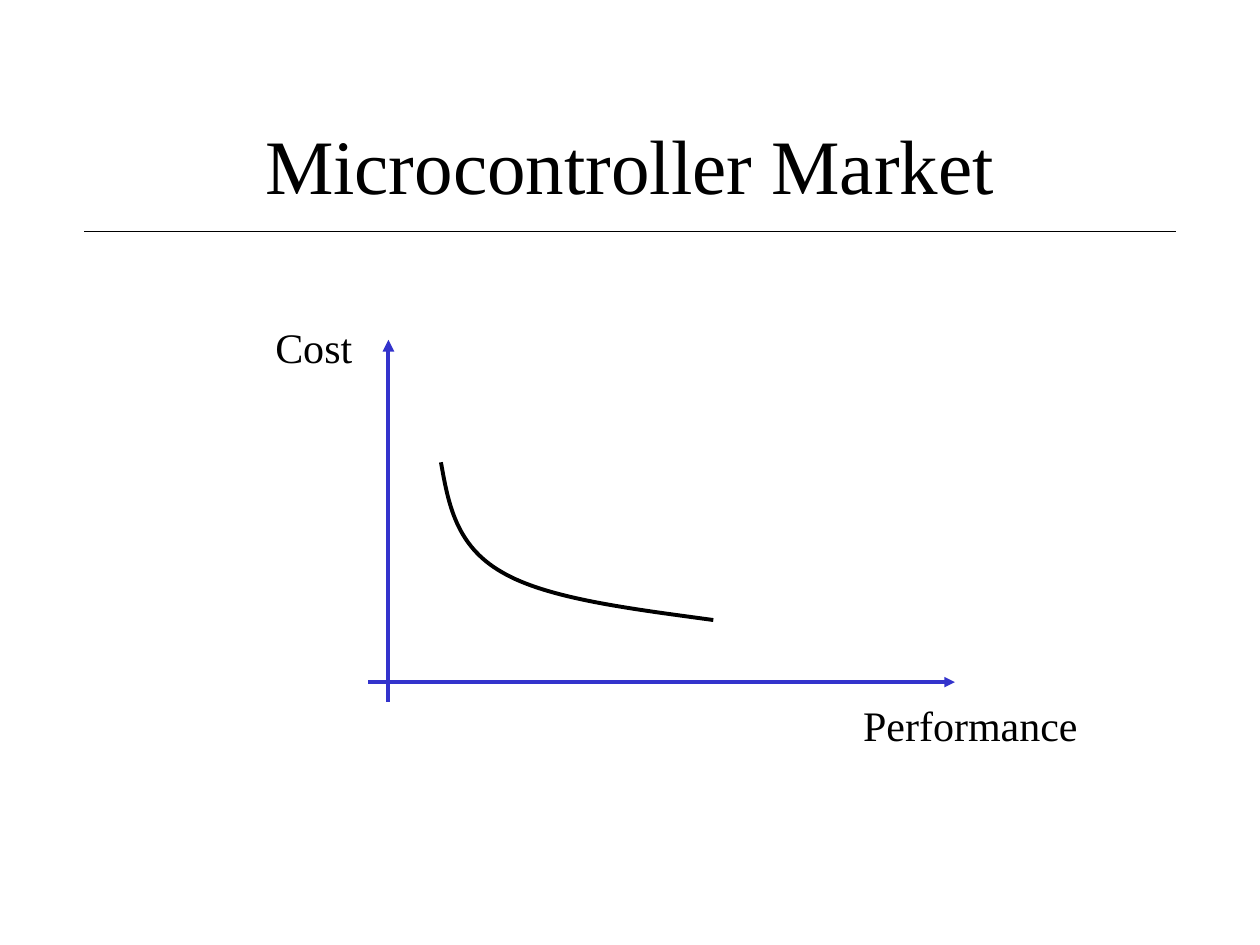
from lxml import etree
from pptx import Presentation
from pptx.dml.color import RGBColor
from pptx.enum.shapes import MSO_CONNECTOR
from pptx.enum.text import MSO_ANCHOR, MSO_AUTO_SIZE, PP_ALIGN
from pptx.oxml.ns import qn
from pptx.util import Cm, Pt

STRAIGHT = MSO_CONNECTOR.STRAIGHT
MIDDLE = MSO_ANCHOR.MIDDLE
CENTER = PP_ALIGN.CENTER
FIT_SHAPE = MSO_AUTO_SIZE.SHAPE_TO_FIT_TEXT
BLACK = RGBColor(0x00, 0x00, 0x00)
BLUE = RGBColor(0x33, 0x33, 0xCC)
FONT = "Times New Roman"

CURVE_START = (3.59, 2.97)
CURVE_SEGMENTS = [
    [(3.74, 3.81), (3.89, 4.65), (4.81, 5.18)],
    [(5.72, 5.72), (7.4, 5.92), (9.08, 6.15)],
]


def add_run(paragraph, text, size):
    run = paragraph.add_run()
    run.text = text
    run.font.name = FONT
    run.font.size = Pt(size)
    run.font.color.rgb = BLACK


def add_line(slide, start, end, color, width, arrow=False):
    line = slide.shapes.add_connector(
        STRAIGHT, Cm(start[0]), Cm(start[1]), Cm(end[0]), Cm(end[1]))
    line.line.color.rgb = color
    line.line.width = Pt(width)
    if arrow:
        etree.SubElement(line.line._get_or_add_ln(), qn("a:tailEnd"), type="triangle")
    etree.SubElement(line._element.spPr, qn("a:effectLst"))


def add_label(slide, text, left, top, width):
    label = slide.shapes.add_textbox(Cm(left), Cm(top), Cm(width), Cm(1.27))
    label.text_frame.word_wrap = False
    label.text_frame.auto_size = FIT_SHAPE
    add_run(label.text_frame.paragraphs[0], text, 24)


def add_curve(slide, left, top):
    def place(point):
        return Cm(left + point[0]), Cm(top + point[1])

    builder = slide.shapes.build_freeform(*place(CURVE_START))
    builder.add_line_segments(
        [place(point) for segment in CURVE_SEGMENTS for point in segment], close=False)
    curve = builder.convert_to_shape()
    curve.shadow.inherit = False
    curve.fill.background()
    curve.line.color.rgb = BLACK
    curve.line.width = Pt(2.25)

    outline = curve._element.find(".//" + qn("a:path"))
    steps = outline.findall(qn("a:lnTo"))
    for first in range(0, len(steps), 3):
        bezier = etree.SubElement(outline, qn("a:cubicBezTo"))
        for step in steps[first:first + 3]:
            bezier.append(step[0])
            outline.remove(step)


def add_title(slide, left, top, width, height):
    title = slide.shapes.title
    title.left, title.top = Cm(left), Cm(top)
    title.width, title.height = Cm(width), Cm(height)
    title.text_frame.vertical_anchor = MIDDLE
    paragraph = title.text_frame.paragraphs[0]
    paragraph.alignment = CENTER
    add_run(paragraph, "Microcontroller Market", 44)
    rule_top = top + 2.96
    add_line(slide, (left - 0.2, rule_top), (left + width + 0.2, rule_top), BLACK, 0.75)


def add_cost_graph(slide, left, top):
    axis_left, axis_top = left + 2.53, top + 7.4
    add_line(slide, (axis_left - 0.41, axis_top), (left + 13.95, axis_top), BLUE, 2, True)
    add_line(slide, (axis_left, axis_top + 0.4), (axis_left, top + 0.5), BLUE, 2.25, True)
    add_label(slide, "Cost", left, top, 2.06)
    add_label(slide, "Performance", left + 11.85, top + 7.62, 4.83)
    add_curve(slide, left, top)


def main():
    presentation = Presentation()
    presentation.slide_width, presentation.slide_height = Cm(25.4), Cm(19.05)
    slide = presentation.slides.add_slide(presentation.slide_layouts[5])
    add_title(slide, 1.9, 1.7, 21.6, 3.18)
    add_cost_graph(slide, 5.3, 6.35)
    presentation.save("out.pptx")


if __name__ == "__main__":
    main()
